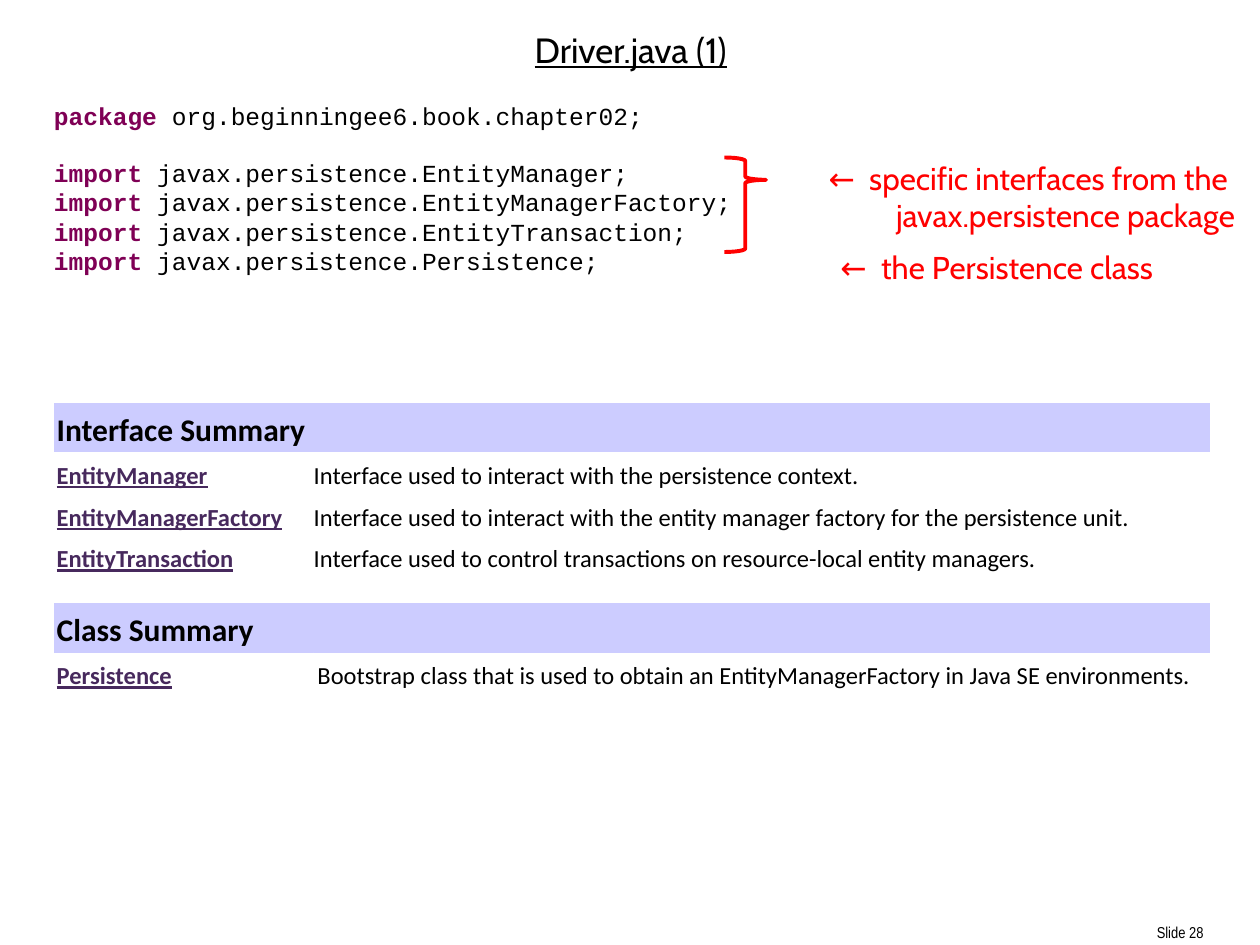
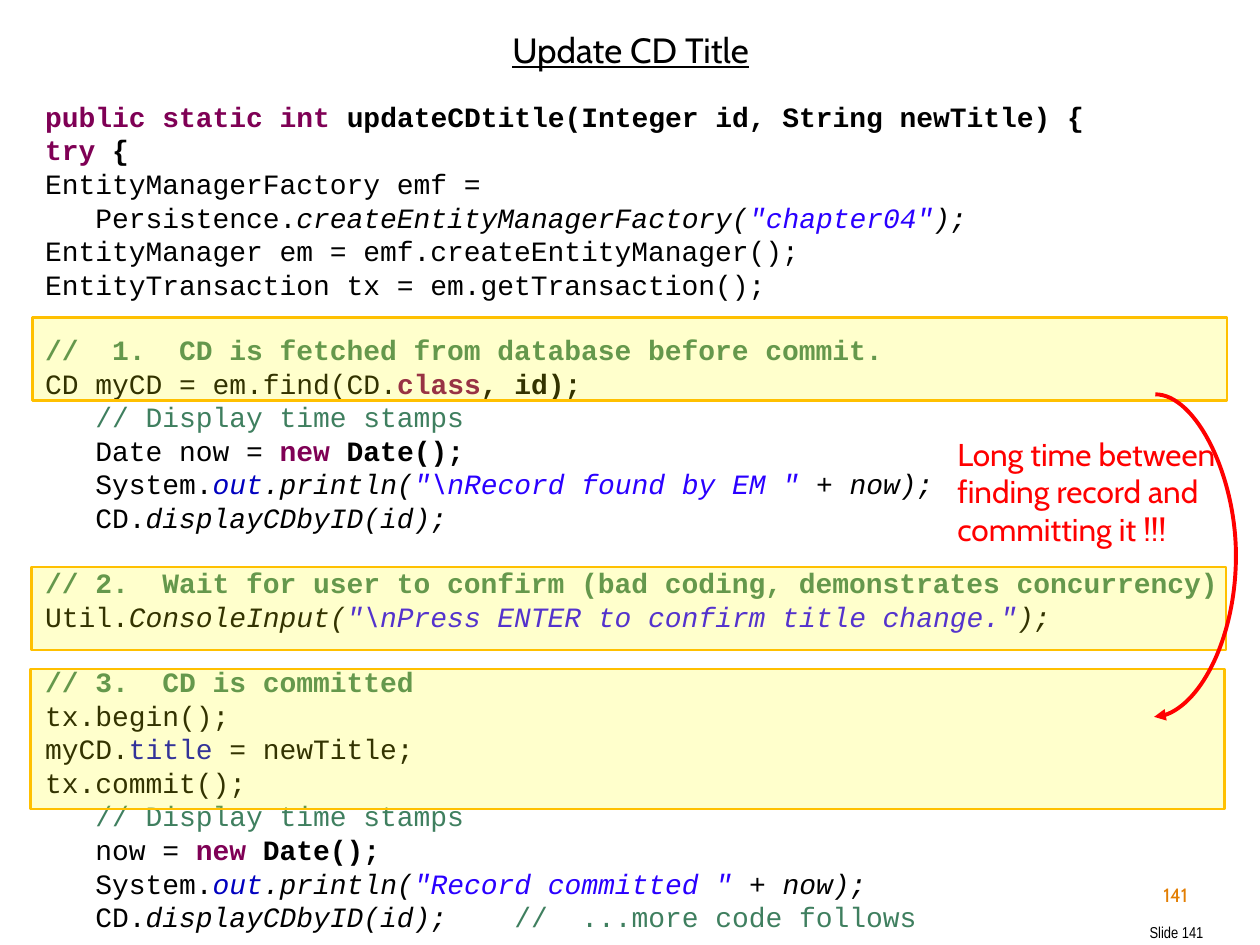
"""Build two lecture slides on persistence code, with notes and summary tables."""
import pptx
import pptx.util
import pptx.dml.color
import pptx.enum.shapes
import pptx.enum.text
import pptx.oxml
import pptx.oxml.ns

Inches = pptx.util.Inches
Pt = pptx.util.Pt
RGBColor = pptx.dml.color.RGBColor
ALIGN = pptx.enum.text.PP_ALIGN
ANCHOR = pptx.enum.text.MSO_ANCHOR
SHAPE = pptx.enum.shapes.MSO_SHAPE
qn = pptx.oxml.ns.qn

BLACK = RGBColor(0x00, 0x00, 0x00)
WHITE = RGBColor(0xFF, 0xFF, 0xFF)
RED = RGBColor(0xFF, 0x00, 0x00)
ORANGE = RGBColor(0xE3, 0x7E, 0x03)
YELLOW = RGBColor(0xFF, 0xFF, 0x00)
AMBER = RGBColor(0xFF, 0xC0, 0x00)
LAVENDER = RGBColor(0xCC, 0xCC, 0xFF)
LINK_PURPLE = RGBColor(0x47, 0x29, 0x5D)
KEYWORD_PURPLE = RGBColor(0x7F, 0x00, 0x55)
COMMENT_GREEN = RGBColor(0x3F, 0x7F, 0x5F)
STRING_BLUE = RGBColor(0x2A, 0x00, 0xFF)
FIELD_BLUE = RGBColor(0x00, 0x00, 0xC0)

CODE_STYLES = {
    "plain": (BLACK, False, False),
    "bold": (BLACK, True, False),
    "italic": (BLACK, False, True),
    "keyword": (KEYWORD_PURPLE, True, False),
    "comment": (COMMENT_GREEN, False, False),
    "heading": (COMMENT_GREEN, True, False),
    "string": (STRING_BLUE, False, True),
    "field": (FIELD_BLUE, False, False),
    "static": (FIELD_BLUE, False, True),
}


def add_text(page, place, text, size, font, colour, align, anchor=ANCHOR.TOP, underline=False):
    box = page.shapes.add_textbox(*map(Inches, place))
    box.text_frame.word_wrap = False
    box.text_frame.vertical_anchor = anchor
    para = box.text_frame.paragraphs[0]
    para.text = text
    para.alignment = align
    para.font.size = Pt(size)
    para.font.name = font
    para.font.color.rgb = colour
    para.font.underline = underline


def add_code(page, place, blocks, size):
    frame = page.shapes.add_textbox(*map(Inches, place)).text_frame
    frame.word_wrap = True
    para = frame.paragraphs[0]
    for block_index, block in enumerate(blocks):
        for line_index, line in enumerate(block):
            if block_index or line_index:
                para = frame.add_paragraph()
            if block_index and not line_index:
                para.space_before = Pt(size * 1.133)
            para.font.size = Pt(size)
            para.font.name = "Courier New"
            for style, text in line:
                span = para.add_run()
                span.text = text
                span.font.color.rgb, span.font.bold, span.font.italic = CODE_STYLES[style]


deck = pptx.Presentation()
deck.slide_width = Inches(10)
deck.slide_height = Inches(7.5)

pages = []
for title, number in [("Driver.java (1)", 28), ("Update CD Title", 141)]:
    page = deck.slides.add_slide(deck.slide_layouts[6])
    add_text(page, (9.01, 7.25, 0.64, 0.3), f"Slide {number}", 9, "Arial Narrow", BLACK,
             ALIGN.RIGHT, ANCHOR.MIDDLE)
    add_text(page, (0.42, 0.17, 9.17, 0.44), title, 20, "Cabin", BLACK,
             ALIGN.CENTER, ANCHOR.MIDDLE, underline=True)
    pages.append(page)
driver_page, update_page = pages

imports = ["EntityManager", "EntityManagerFactory", "EntityTransaction", "Persistence"]
add_code(driver_page, (0.33, 0.75, 8.92, 1.75), [
    [[("keyword", "package"), ("plain", " org.beginningee6.book.chapter02;")]],
    [[("keyword", "import "), ("plain", f"javax.persistence.{name};")] for name in imports],
], 14)
add_text(driver_page, (6.31, 1.21, 3.59, 0.71),
         "←  specific interfaces from the \vjavax.persistence package", 18, "Cabin", RED, ALIGN.RIGHT)
add_text(driver_page, (6.4, 1.92, 2.85, 0.4),
         "←  the Persistence class", 18, "Cabin", RED, ALIGN.RIGHT)

brace = driver_page.shapes.add_shape(
    SHAPE.RIGHT_BRACE, Inches(5.75), Inches(1.25), Inches(0.33), Inches(0.75))
brace.shadow.inherit = False
brace.adjustments[0] = 0.083
brace.adjustments[1] = 0.236
brace.fill.background()
brace.line.color.rgb = RED
brace.line.width = Pt(2.25)

interface_rows = [
    ("EntityManager", "Interface used to interact with the persistence context."),
    ("EntityManagerFactory",
     "Interface used to interact with the entity manager factory for the persistence unit."),
    ("EntityTransaction",
     "Interface used to control transactions on resource-local entity managers."),
]
class_rows = [
    ("Persistence",
     "Bootstrap class that is used to obtain an EntityManagerFactory in Java SE environments."),
]
for heading, rows, top, name_width in [
    ("Interface Summary", interface_rows, 3.19, 2.04),
    ("Class Summary", class_rows, 4.78, 2.07),
]:
    table = driver_page.shapes.add_table(
        len(rows) + 1, 2, Inches(0.42), Inches(top), Inches(9.19),
        Inches(0.4 + 0.33 * len(rows))).table
    table.first_row = False
    table.horz_banding = False
    table.columns[0].width = Inches(name_width)
    table.columns[1].width = Inches(9.19 - name_width)
    table.cell(0, 0).merge(table.cell(0, 1))
    for row_index, texts in enumerate([(heading,)] + rows):
        is_heading = row_index == 0
        table.rows[row_index].height = Inches(0.4 if is_heading else 0.33)
        for column_index, text in enumerate(texts):
            is_link = not is_heading and column_index == 0
            cell = table.cell(row_index, column_index)
            cell.fill.solid()
            cell.fill.fore_color.rgb = LAVENDER if is_heading else WHITE
            cell.vertical_anchor = ANCHOR.MIDDLE
            cell.margin_left = cell.margin_right = Inches(0.03)
            cell.margin_top = cell.margin_bottom = Inches(0.03)
            para = cell.text_frame.paragraphs[0]
            para.text = text
            para.line_spacing = 1.15
            para.space_after = Pt(10)
            para.font.name = "Calibri"
            para.font.size = Pt(18 if is_heading else 14)
            para.font.bold = is_heading or is_link
            para.font.underline = is_link
            para.font.color.rgb = LINK_PURPLE if is_link else BLACK

add_text(update_page, (9.01, 6.95, 0.64, 0.3), "141", 11, "Cabin", ORANGE,
         ALIGN.CENTER, ANCHOR.MIDDLE)
add_code(update_page, (0.26, 0.74, 9.74, 6.83), [
    [
        [("keyword", "public static int "),
         ("bold", "updateCDtitle(Integer id, String newTitle) {")],
        [("keyword", "try"), ("bold", " {")],
        [("plain", "EntityManagerFactory emf =")],
        [("plain", "   Persistence."), ("italic", "createEntityManagerFactory("),
         ("string", '"chapter04"'), ("italic", ");")],
        [("plain", "EntityManager em = emf.createEntityManager();")],
        [("plain", "EntityTransaction tx = em.getTransaction();")],
    ],
    [
        [("heading", "//  1.  CD is fetched from database before commit.")],
        [("plain", "CD myCD = em.find(CD."), ("keyword", "class"), ("bold", ", id);")],
        [("comment", "   // Display time stamps")],
        [("plain", "   Date now = "), ("keyword", "new"), ("bold", " Date();")],
        [("plain", "   System."), ("static", "out"), ("italic", ".println("),
         ("string", '"\\nRecord found by EM "'), ("italic", " + now);")],
        [("plain", "   CD."), ("italic", "displayCDbyID(id);")],
    ],
    [
        [("heading", "// 2.  Wait for user to confirm (bad coding, demonstrates concurrency)")],
        [("plain", "Util."), ("italic", "ConsoleInput("),
         ("string", '"\\nPress ENTER to confirm title change."'), ("italic", ");")],
    ],
    [
        [("heading", "// 3.  CD is committed")],
        [("plain", "tx.begin();")],
        [("plain", "myCD."), ("field", "title"), ("plain", " = newTitle;")],
        [("plain", "tx.commit();")],
        [("comment", "   // Display time stamps")],
        [("plain", "   now = "), ("keyword", "new"), ("bold", " Date();")],
        [("plain", "   System."), ("static", "out"), ("italic", ".println("),
         ("string", '"Record committed "'), ("italic", " + now);")],
        [("plain", "   CD."), ("italic", "displayCDbyID(id);    "),
         ("comment", "//  ...more code follows")],
    ],
], 16)
add_text(update_page, (7.5, 3.4, 2.28, 1.01),
         "Long time between\vfinding record and\vcommitting it !!!", 18, "Cabin", RED, ALIGN.LEFT)

for left, top, height in [(0.26, 2.52, 0.66), (0.25, 4.5, 0.66), (0.24, 5.31, 1.11)]:
    highlight = update_page.shapes.add_shape(
        SHAPE.RECTANGLE, Inches(left), Inches(top), Inches(9.48), Inches(height))
    highlight.shadow.inherit = False
    highlight.fill.solid()
    highlight.fill.fore_color.rgb = YELLOW
    tint = highlight.fill._xPr.find(qn("a:solidFill"))[0]
    pptx.oxml.xmlchemy.OxmlElement("a:alpha")
    alpha = pptx.oxml.xmlchemy.OxmlElement("a:alpha")
    alpha.set("val", "20000")
    tint.append(alpha)
    highlight.line.color.rgb = AMBER
    highlight.line.width = Pt(1.5)

delay_arrow = update_page.shapes.add_connector(
    pptx.enum.shapes.MSO_CONNECTOR.CURVE, Inches(9.17), Inches(3.13), Inches(9.16), Inches(5.69))
delay_arrow.line.color.rgb = RED
delay_arrow.line.width = Pt(2.25)
arrowhead = pptx.oxml.xmlchemy.OxmlElement("a:tailEnd")
arrowhead.set("type", "triangle")
delay_arrow.line._get_or_add_ln().append(arrowhead)
properties = delay_arrow._element.spPr
properties.append(pptx.oxml.xmlchemy.OxmlElement("a:effectLst"))
bulge = pptx.oxml.xmlchemy.OxmlElement("a:gd")
bulge.set("name", "adj1")
bulge.set("fmla", "val -6500000")
properties.find(qn("a:prstGeom")).find(qn("a:avLst")).append(bulge)

deck.save("out.pptx")
